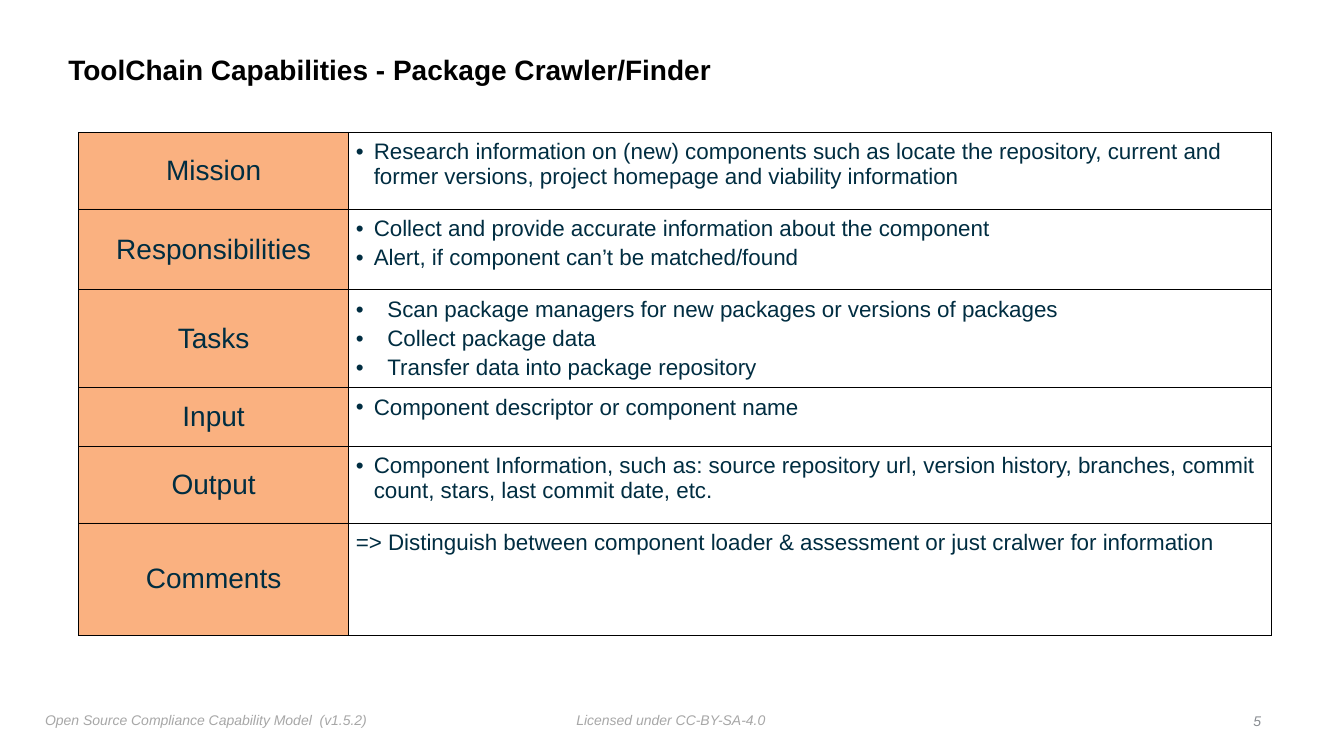
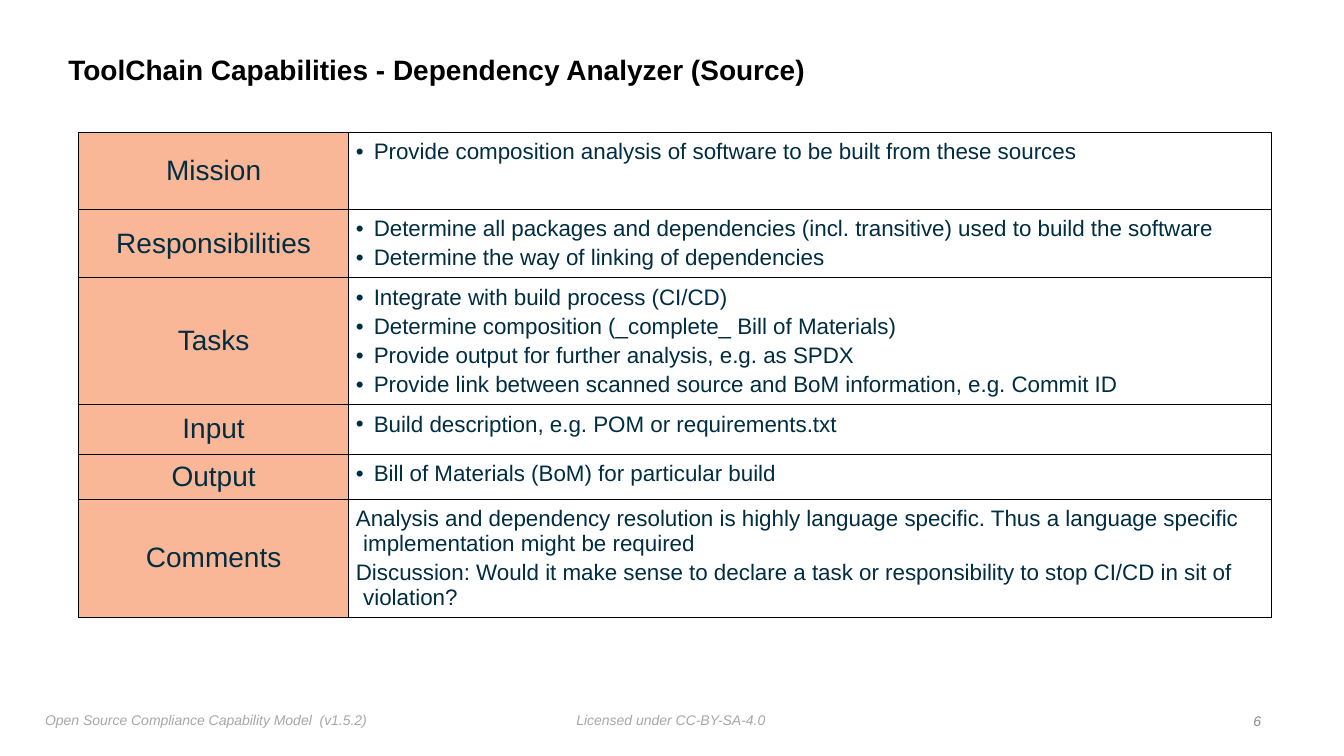
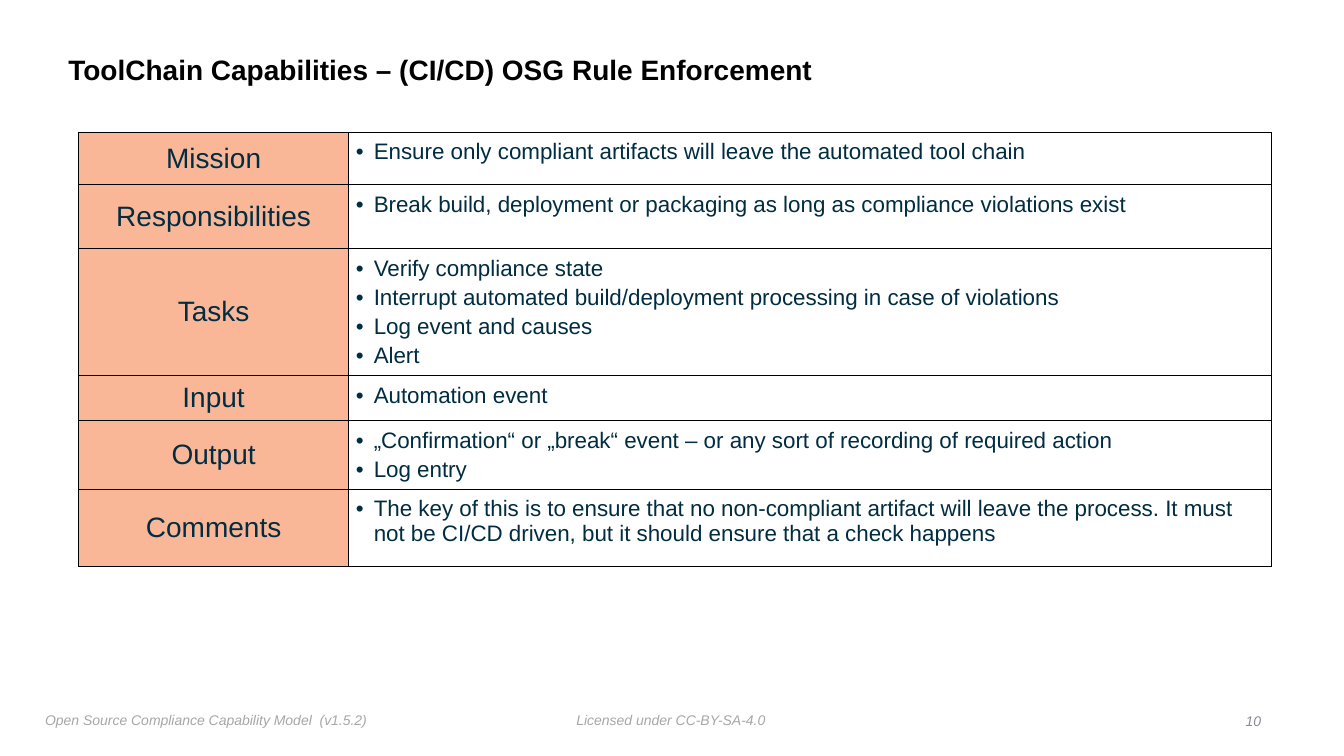
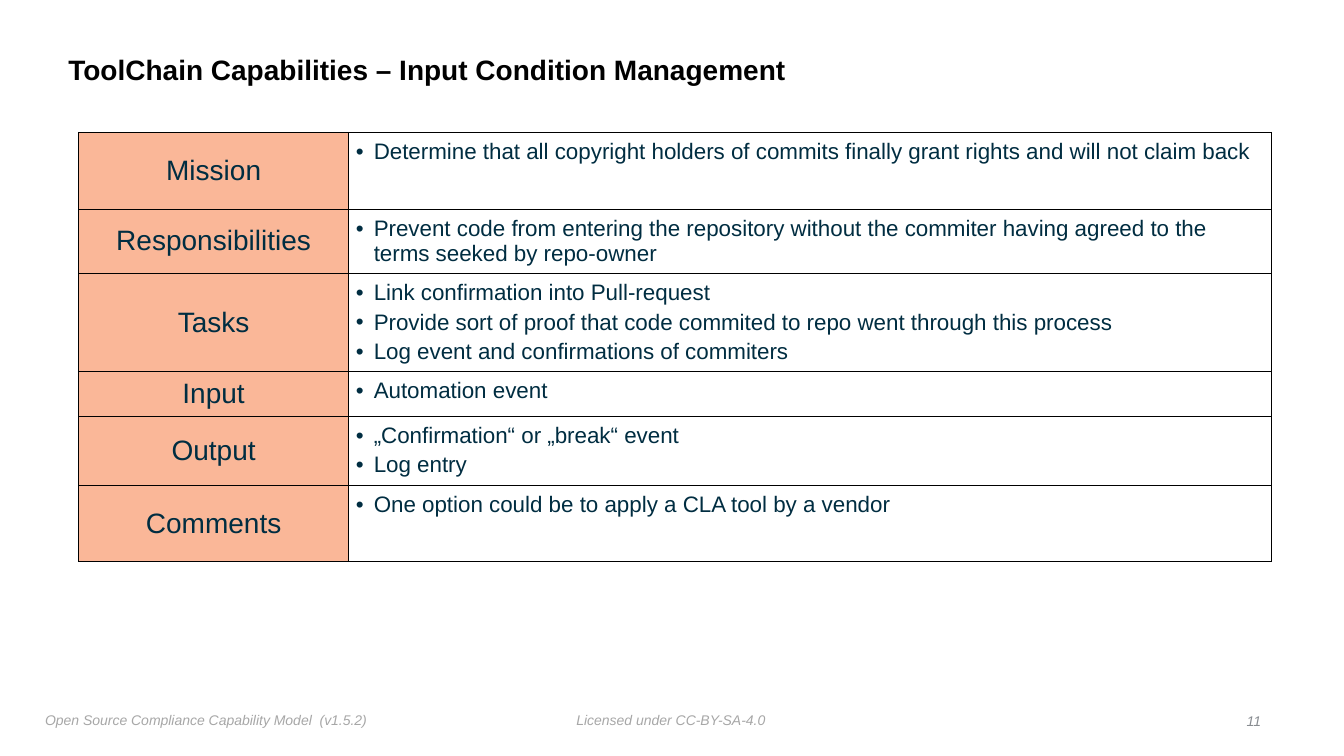
import dataclasses
import typing

import pptx
import pptx.dml.color
import pptx.enum.text
import pptx.oxml.ns
import pptx.oxml.xmlchemy
import pptx.presentation
import pptx.slide
import pptx.table
import pptx.text.text
import pptx.util
from lxml import etree

EMU_PER_PX = 9525
ALIGN = pptx.enum.text.PP_ALIGN
ANCHOR = pptx.enum.text.MSO_ANCHOR


def px(n: int) -> pptx.util.Emu:
    return pptx.util.Emu(n * EMU_PER_PX)


class Style(typing.NamedTuple):
    size: int
    color: str
    bold: bool = False
    italic: bool = False


class Box(typing.NamedTuple):
    left: int
    top: int
    width: int
    height: int

    def emu(self) -> list[pptx.util.Emu]:
        return [px(n) for n in self]


class Fill(typing.NamedTuple):
    color: str
    opacity: int = 100


@dataclasses.dataclass(frozen=True)
class Theme:
    font: str = "Arial"
    title: Style = Style(20, "000000", bold=True)
    label: Style = Style(20, "002D41")
    body: Style = Style(16, "002D41")
    footer: Style = Style(10, "A7A7A7", italic=True)
    number: Style = Style(10, "888C91", italic=True)
    border: str = "000000"
    orange: Fill = Fill("F66503", 50)
    salmon: Fill = Fill("FAB798")


THEME = Theme()
SLIDE_SIZE = (1280, 720)
TITLE_BOX = Box(60, 37, 1032, 62)
NUMBER_BOX = Box(1150, 675, 56, 24)
FOOTERS = (
    (Box(544, 673, 210, 24), "Licensed under CC-BY-SA-4.0"),
    (Box(38, 673, 340, 26), "Open Source Compliance Capability Model  (v1.5.2)"),
)
TABLE_LEFT, TABLE_TOP = 75, 126
COLUMNS = (257, 879)
TEXT_INSET, CELL_INSET = 5, 7
BULLET_INDENT, WIDE_INDENT, PLAIN_INDENT = 17, 30, 7


@dataclasses.dataclass(frozen=True)
class Row:
    label: str
    height: int
    items: tuple[str, ...]
    indent: int = BULLET_INDENT
    bullet: bool = True


@dataclasses.dataclass(frozen=True)
class Capability:
    number: int
    title: str
    rows: tuple[Row, ...]
    fill: Fill = THEME.salmon


CAPABILITIES = (
    Capability(5, "ToolChain Capabilities - Package Crawler/Finder", (
        Row("Mission", 73, (
            "Research information on (new) components such as locate the repository, "
            "current and former versions, project homepage and viability information",)),
        Row("Responsibilities", 77, (
            "Collect and provide accurate information about the component",
            "Alert, if component can’t be matched/found")),
        Row("Tasks", 92, (
            "Scan package managers for new packages or versions of packages",
            "Collect package data",
            "Transfer data into package repository"), WIDE_INDENT),
        Row("Input", 56, ("Component descriptor or component name",)),
        Row("Output", 73, (
            "Component Information, such as: source repository url, version history, "
            "branches, commit count, stars, last commit date, etc.",)),
        Row("Comments", 107, (
            "=> Distinguish between component loader & assessment or just cralwer "
            "for information",), PLAIN_INDENT, False),
    ), THEME.orange),
    Capability(6, "ToolChain Capabilities - Dependency Analyzer (Source)", (
        Row("Mission", 73, (
            "Provide composition analysis of software to be built from these sources",)),
        Row("Responsibilities", 65, (
            "Determine all packages and dependencies (incl. transitive) used to build "
            "the software",
            "Determine the way of linking of dependencies")),
        Row("Tasks", 120, (
            "Integrate with build process (CI/CD)",
            "Determine composition (_complete_ Bill of Materials)",
            "Provide output for further analysis, e.g. as SPDX",
            "Provide link between scanned source and BoM information, e.g. Commit ID")),
        Row("Input", 47, ("Build description, e.g. POM or requirements.txt",)),
        Row("Output", 43, ("Bill of Materials (BoM) for particular build",)),
        Row("Comments", 111, (
            "Analysis and dependency resolution is highly language specific. Thus a "
            "language specific implementation might be required",
            "Discussion: Would it make sense to declare a task or responsibility to "
            "stop CI/CD in sit of violation?"), PLAIN_INDENT, False),
    )),
    Capability(10, "ToolChain Capabilities – (CI/CD) OSG Rule Enforcement", (
        Row("Mission", 50, (
            "Ensure only compliant artifacts will leave the automated tool chain",)),
        Row("Responsibilities", 61, (
            "Break build, deployment or packaging as long as compliance violations "
            "exist",)),
        Row("Tasks", 120, (
            "Verify compliance state",
            "Interrupt automated build/deployment processing in case of violations",
            "Log event and causes",
            "Alert")),
        Row("Input", 43, ("Automation event",)),
        Row("Output", 65, (
            "„Confirmation“ or „break“ event – or any sort of recording of required "
            "action",
            "Log entry")),
        Row("Comments", 73, (
            "The key of this is to ensure that no non-compliant artifact will leave "
            "the process. It must not be CI/CD driven, but it should ensure that a "
            "check happens",)),
    )),
    Capability(11, "ToolChain Capabilities – Input Condition Management", (
        Row("Mission", 73, (
            "Determine that all copyright holders of commits finally grant rights and "
            "will not claim back",)),
        Row("Responsibilities", 61, (
            "Prevent code from entering the repository without the commiter having "
            "agreed to the terms seeked by repo-owner",)),
        Row("Tasks", 92, (
            "Link confirmation into Pull-request",
            "Provide sort of proof that code commited to repo went through this process",
            "Log event and confirmations of commiters")),
        Row("Input", 43, ("Automation event",)),
        Row("Output", 65, ("„Confirmation“ or „break“ event", "Log entry")),
        Row("Comments", 73, (
            "One option could be to apply a CLA tool by a vendor",)),
    )),
)


def sub(parent: etree._Element, tag: str, **attrs: str) -> etree._Element:
    return etree.SubElement(parent, pptx.oxml.ns.qn(tag), attrs)


def set_text(
    tf: pptx.text.text.TextFrame, text: str, style: Style, align: ALIGN = ALIGN.LEFT
) -> None:
    tf.text = text
    for p in tf.paragraphs:
        p.alignment = align
        for r in p.runs:
            r.font.name = THEME.font
            r.font.size = pptx.util.Pt(style.size)
            r.font.bold = style.bold
            r.font.italic = style.italic
            r.font.color.rgb = pptx.dml.color.RGBColor.from_string(style.color)


def set_insets(target: typing.Any, inset: int) -> None:
    target.margin_left = target.margin_right = px(inset)
    target.margin_top = target.margin_bottom = px(inset)


def add_text(
    slide: pptx.slide.Slide,
    box: Box,
    text: str,
    style: Style,
    align: ALIGN = ALIGN.LEFT,
    anchor: ANCHOR = ANCHOR.TOP,
) -> typing.Any:
    sp = slide.shapes.add_textbox(*box.emu())
    tf = sp.text_frame
    tf.word_wrap = True
    tf.vertical_anchor = anchor
    set_insets(tf, TEXT_INSET)
    set_text(tf, text, style, align)
    return sp


def add_shared_footers(slide: pptx.slide.Slide) -> None:
    tree = slide.slide_layout.element.cSld.spTree
    for box, text in FOOTERS:
        sp = add_text(slide, box, text, THEME.footer)
        tree.append(sp.element)


def set_title(slide: pptx.slide.Slide, text: str) -> None:
    sp = slide.shapes.title
    sp.left, sp.top, sp.width, sp.height = TITLE_BOX.emu()
    tf = sp.text_frame
    tf.word_wrap = True
    tf.auto_size = pptx.enum.text.MSO_AUTO_SIZE.NONE
    tf.vertical_anchor = ANCHOR.MIDDLE
    set_insets(tf, TEXT_INSET)
    set_text(tf, text, THEME.title)
    tf.paragraphs[0].line_spacing = 0.9


def set_borders(cell: pptx.table._Cell) -> None:
    tc_pr = cell._tc.get_or_add_tcPr()
    for side in ("a:lnL", "a:lnR", "a:lnT", "a:lnB"):
        ln = sub(tc_pr, side, w=str(pptx.util.Pt(0.5)))
        sub(sub(ln, "a:solidFill"), "a:srgbClr", val=THEME.border)


def fill_label(cell: pptx.table._Cell, text: str, fill: Fill) -> None:
    set_borders(cell)
    cell.fill.solid()
    cell.fill.fore_color.rgb = pptx.dml.color.RGBColor.from_string(fill.color)
    if fill.opacity < 100:
        clr = cell._tc.tcPr.find(".//" + pptx.oxml.ns.qn("a:solidFill") + "[last()]/"
                                 + pptx.oxml.ns.qn("a:srgbClr") + f"[@val='{fill.color}']")
        sub(clr, "a:alpha", val=str(fill.opacity * 1000))
    cell.vertical_anchor = ANCHOR.MIDDLE
    set_insets(cell, 0)
    set_text(cell.text_frame, text, THEME.label, ALIGN.CENTER)


def fill_items(cell: pptx.table._Cell, row: Row) -> None:
    set_borders(cell)
    cell.fill.background()
    cell.vertical_anchor = ANCHOR.TOP
    set_insets(cell, CELL_INSET)
    set_text(cell.text_frame, "\n".join(row.items), THEME.body)
    for i, p in enumerate(cell.text_frame.paragraphs):
        p_pr = p._p.get_or_add_pPr()
        p_pr.set("marL", str(px(row.indent)))
        p_pr.set("indent", str(px(-row.indent)))
        if row.bullet:
            sub(p_pr, "a:buFont", typeface=THEME.font)
            sub(p_pr, "a:buChar", char="•")
        p.space_before = pptx.util.Pt(3 if i else 0)


def add_capability_table(slide: pptx.slide.Slide, capability: Capability) -> None:
    rows = capability.rows
    box = Box(TABLE_LEFT, TABLE_TOP, sum(COLUMNS), sum(row.height for row in rows))
    table = slide.shapes.add_table(len(rows), len(COLUMNS), *box.emu()).table
    table.first_row = table.horz_banding = False
    for column, width in zip(table.columns, COLUMNS):
        column.width = px(width)
    for i, row in enumerate(rows):
        table.rows[i].height = px(row.height)
        fill_label(table.cell(i, 0), row.label, capability.fill)
        fill_items(table.cell(i, 1), row)


def add_capability_slide(
    prs: pptx.presentation.Presentation, capability: Capability
) -> pptx.slide.Slide:
    slide = prs.slides.add_slide(prs.slide_layouts.get_by_name("Title Only"))
    set_title(slide, capability.title)
    add_capability_table(slide, capability)
    add_text(slide, NUMBER_BOX, str(capability.number), THEME.number,
             ALIGN.RIGHT, ANCHOR.MIDDLE)
    return slide


def main() -> None:
    prs = pptx.Presentation()
    prs.slide_width, prs.slide_height = (px(n) for n in SLIDE_SIZE)
    slides = [add_capability_slide(prs, capability) for capability in CAPABILITIES]
    add_shared_footers(slides[0])
    prs.save("out.pptx")


if __name__ == "__main__":
    main()
